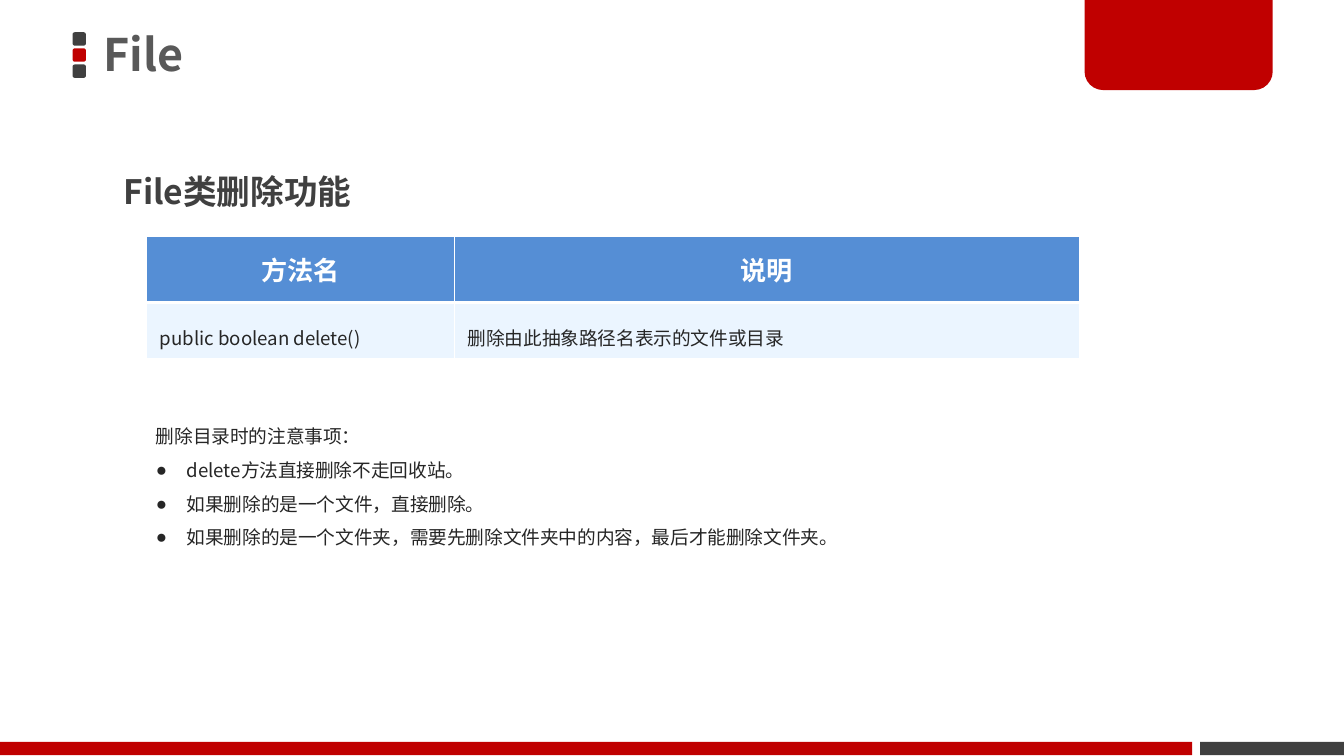
from dataclasses import dataclass

from lxml import etree
from pptx import Presentation
from pptx.dml.color import RGBColor
from pptx.enum.shapes import MSO_SHAPE
from pptx.enum.text import MSO_ANCHOR, MSO_AUTO_SIZE, PP_ALIGN
from pptx.oxml.ns import qn
from pptx.util import Inches, Pt

RECT = MSO_SHAPE.RECTANGLE
ROUNDED = MSO_SHAPE.ROUNDED_RECTANGLE
ROUND_PAIR = MSO_SHAPE.ROUND_2_SAME_RECTANGLE
LEFT, CENTER = PP_ALIGN.LEFT, PP_ALIGN.CENTER
TOP, MIDDLE = MSO_ANCHOR.TOP, MSO_ANCHOR.MIDDLE
NO_FIT = MSO_AUTO_SIZE.NONE


@dataclass(frozen=True)
class Theme:
    """Colours, fonts and type sizes of the slide."""
    font: str = "Noto Sans CJK SC"
    bullet_font: str = "Arial"
    red: str = "C00000"
    dark: str = "404040"
    title: str = "595959"
    ink: str = "262626"
    white: str = "FFFFFF"
    header: str = "558ED5"
    row: str = "EBF5FF"
    title_size: float = 24
    subtitle_size: float = 18
    header_size: float = 14
    body_size: float = 10
    thin: float = 0.45
    thick: float = 1.47


THEME = Theme()
METHODS = [("方法名", "说明"),
           ("public boolean delete()", "删除由此抽象路径名表示的文件或目录")]
NOTES = ["删除目录时的注意事项：",
         "delete方法直接删除不走回收站。",
         "如果删除的是一个文件，直接删除。",
         "如果删除的是一个文件夹，需要先删除文件夹中的内容，最后才能删除文件夹。"]


def place(shape, box):
    """Move a shape to a box of left, top, width and height in inches."""
    shape.left, shape.top, shape.width, shape.height = map(Inches, box)


def format_paragraph(paragraph, size, color, bold=False, spacing=1.5, align=LEFT):
    """Set spacing, alignment and the font of every run."""
    paragraph.alignment = align
    paragraph.line_spacing = spacing
    paragraph.space_before = Pt(0)
    for run in paragraph.runs:
        run.font.name = THEME.font
        run.font.size = Pt(size)
        run.font.bold = bold
        run.font.color.rgb = RGBColor.from_string(color)
        etree.SubElement(run.font._element, qn("a:ea"), typeface=THEME.font)


def add_block(slide, kind, box, color, *adjustments):
    """Add a plain filled shape."""
    block = slide.shapes.add_shape(kind, *map(Inches, box))
    block.shadow.inherit = False
    block.fill.solid()
    block.fill.fore_color.rgb = RGBColor.from_string(color)
    block.line.fill.background()
    for index, value in enumerate(adjustments):
        block.adjustments[index] = value


def add_title_marker(slide, box):
    """Stack three rounded squares down the box."""
    left, top, side, height = box
    step = (height - side) / 2
    for index, color in enumerate((THEME.dark, THEME.red, THEME.dark)):
        add_block(slide, ROUNDED, (left, top + index * step, side, side), color, 0.17)


def add_footer(slide, box):
    """Split the box into a red bar and a dark bar."""
    left, top, width, height = box
    dark_width, gap = 1.07, 0.06
    red_width = width - dark_width - gap
    add_block(slide, RECT, (left, top, red_width, height), THEME.red)
    add_block(slide, RECT, (left + red_width + gap, top, dark_width, height), THEME.dark)


def fill_title(slide, box):
    """Place and format the slide title."""
    title = slide.shapes.title
    place(title, box)
    frame = title.text_frame
    frame.text = "File"
    frame.auto_size = NO_FIT
    frame.vertical_anchor = MIDDLE
    frame.margin_left = frame.margin_right = Inches(0.08)
    frame.margin_top = frame.margin_bottom = Inches(0.04)
    format_paragraph(frame.paragraphs[0], THEME.title_size, THEME.title, True, 0.9)


def add_subtitle(slide, box):
    """Add the section heading above the table."""
    frame = slide.shapes.add_textbox(*map(Inches, box)).text_frame
    frame.word_wrap = True
    frame.text = "File类删除功能"
    format_paragraph(frame.paragraphs[0], THEME.subtitle_size, THEME.dark, True)


def set_borders(cell, **widths):
    """Draw white cell borders with the given widths in points."""
    properties = cell._tc.get_or_add_tcPr()
    for side, width in widths.items():
        line = etree.SubElement(properties, qn(f"a:ln{side}"), w=str(Pt(width)))
        fill = etree.SubElement(line, qn("a:solidFill"))
        etree.SubElement(fill, qn("a:srgbClr"), val=THEME.white)


def add_method_table(slide, box):
    """Add the table of methods with its header row."""
    table = slide.shapes.add_table(len(METHODS), 2, *map(Inches, box)).table
    for column, width in zip(table.columns, (2.29, 4.65)):
        column.width = Inches(width)
    for row, height in zip(table.rows, (0.49, 0.42)):
        row.height = Inches(height)
    thin, thick = THEME.thin, THEME.thick
    for row_index, texts in enumerate(METHODS):
        is_header = row_index == 0
        for column_index, text in enumerate(texts):
            cell = table.cell(row_index, column_index)
            cell.text = text
            set_borders(cell, L=thin, R=thin, T=thin if is_header else thick,
                        B=thick if is_header else thin)
            cell.fill.solid()
            cell.fill.fore_color.rgb = RGBColor.from_string(
                THEME.header if is_header else THEME.row)
            cell.vertical_anchor = TOP if is_header else MIDDLE
            paragraph = cell.text_frame.paragraphs[0]
            if is_header:
                format_paragraph(paragraph, THEME.header_size, THEME.white, True, Pt(24), CENTER)
            else:
                format_paragraph(paragraph, THEME.body_size, THEME.ink)


def set_bullet(paragraph, indent, character=None):
    """Give a paragraph a hanging bullet, or none."""
    properties = paragraph._p.get_or_add_pPr()
    properties.set("marL", str(Inches(indent)))
    properties.set("indent", str(-Inches(indent)))
    if character:
        color = etree.SubElement(properties, qn("a:buClr"))
        etree.SubElement(color, qn("a:srgbClr"), val=THEME.ink)
        etree.SubElement(properties, qn("a:buFont"), typeface=THEME.bullet_font)
        etree.SubElement(properties, qn("a:buChar"), char=character)
    else:
        etree.SubElement(properties, qn("a:buNone"))


def fill_notes(slide, box):
    """Place the lead line and the bulleted cautions."""
    body = slide.placeholders[1]
    place(body, box)
    frame = body.text_frame
    frame.text = "\n".join(NOTES)
    frame.auto_size = NO_FIT
    frame.vertical_anchor = TOP
    for index, paragraph in enumerate(frame.paragraphs):
        format_paragraph(paragraph, THEME.body_size, THEME.ink)
        if index:
            set_bullet(paragraph, 0.23, "●")
        else:
            set_bullet(paragraph, 0)


def main():
    """Build and save the slide."""
    deck = Presentation()
    deck.slide_width = Inches(10)
    deck.slide_height = deck.slide_width * 9 // 16
    slide = deck.slides.add_slide(deck.slide_layouts[1])
    add_title_marker(slide, (0.54, 0.24, 0.1, 0.34))
    add_block(slide, ROUND_PAIR, (8.07, -0.02, 1.4, 0.69), THEME.red, 0, 0.2)
    add_footer(slide, (0, 5.52, 10, 0.1))
    fill_title(slide, (0.69, -0.02, 5.89, 0.89))
    add_subtitle(slide, (0.82, 1.07, 7.76, 0.55))
    add_method_table(slide, (1.09, 1.76, 6.93, 0.9))
    fill_notes(slide, (1.06, 3.03, 8.19, 1.1))
    deck.save("out.pptx")


if __name__ == "__main__":
    main()
